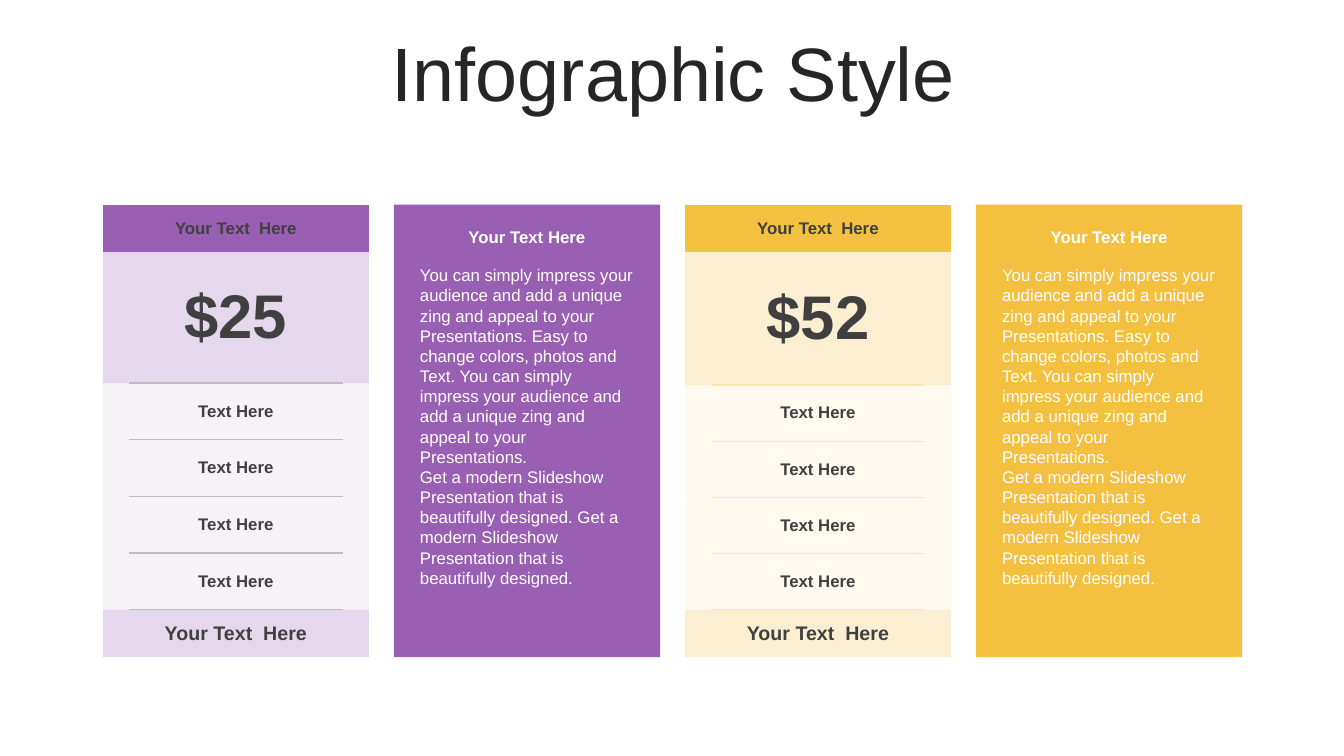
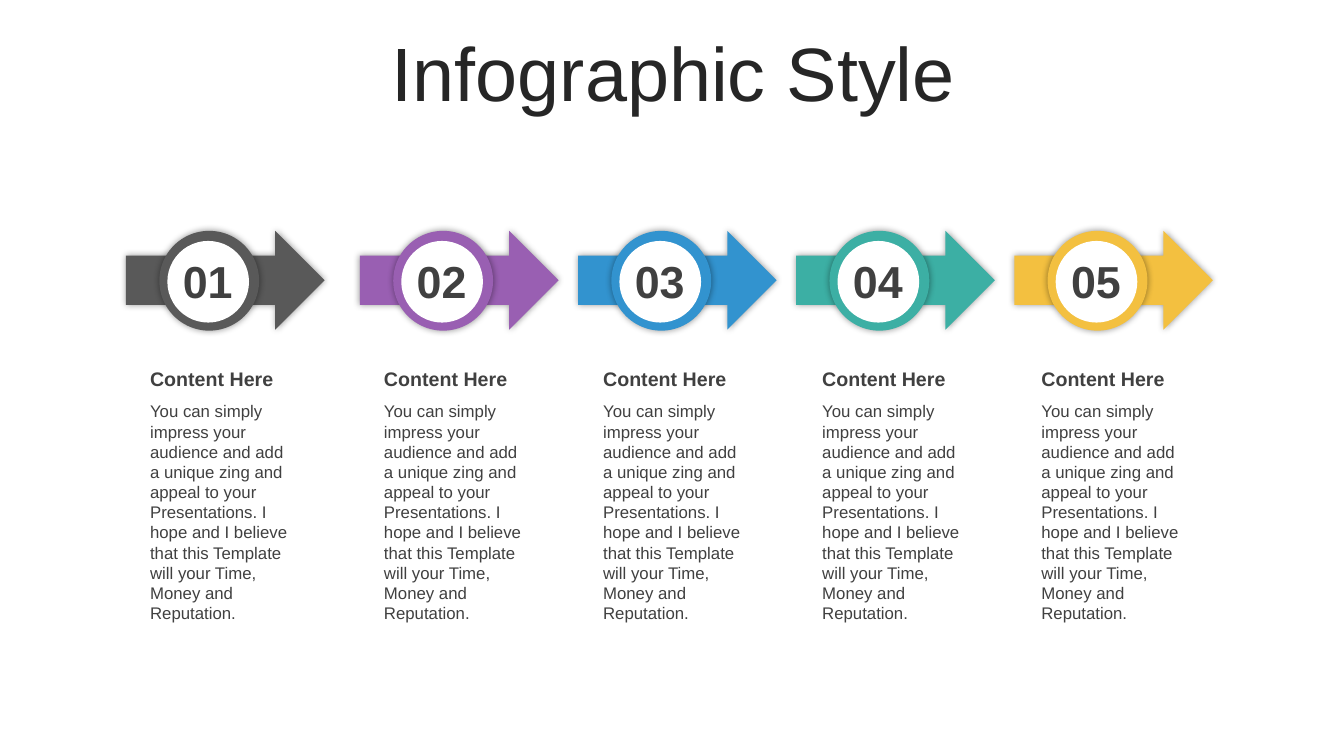
"""Build two infographic slides: a pricing comparison and a five-step arrow process."""
from dataclasses import dataclass

from lxml import etree
from pptx import Presentation
from pptx.dml.color import RGBColor
from pptx.enum.shapes import MSO_SHAPE
from pptx.enum.text import MSO_ANCHOR, PP_ALIGN
from pptx.oxml.ns import qn
from pptx.shapes.autoshape import Shape
from pptx.slide import Slide
from pptx.table import _Cell
from pptx.text.text import TextFrame
from pptx.util import Inches, Pt

RECTANGLE = MSO_SHAPE.RECTANGLE
RIGHT_ARROW = MSO_SHAPE.RIGHT_ARROW
OVAL = MSO_SHAPE.OVAL
LEFT = PP_ALIGN.LEFT
CENTER = PP_ALIGN.CENTER
TOP = MSO_ANCHOR.TOP
MIDDLE = MSO_ANCHOR.MIDDLE

FONT = "Arial"
WHITE = RGBColor(0xFF, 0xFF, 0xFF)
TITLE_COLOR = RGBColor(0x26, 0x26, 0x26)
TEXT_COLOR = RGBColor(0x40, 0x40, 0x40)
GRAY = RGBColor(0x59, 0x59, 0x59)
RULE_GRAY = RGBColor(0xBD, 0xBD, 0xBD)
PURPLE = RGBColor(0x99, 0x5F, 0xB2)
PURPLE_MEDIUM = RGBColor(0xC2, 0x9F, 0xD1)
PURPLE_LIGHT = RGBColor(0xD6, 0xBF, 0xE0)
BLUE = RGBColor(0x32, 0x93, 0xCF)
TEAL = RGBColor(0x3C, 0xAF, 0xA4)
YELLOW = RGBColor(0xF3, 0xC0, 0x40)
YELLOW_MEDIUM = RGBColor(0xF8, 0xD9, 0x8C)
YELLOW_LIGHT = RGBColor(0xFA, 0xE6, 0xB3)

NO_TABLE_STYLE = "{2D5ABB26-0587-4C30-8999-92F81FD0307C}"
MEDIUM_OPACITY = 40
LIGHT_OPACITY = 20

TITLE = "Infographic Style"
PANEL_TOP, PANEL_WIDTH, PANEL_HEIGHT = 2.03, 2.64, 4.49
BAND_HEIGHT = 0.47
DETAIL_COUNT = 4
PANEL_PARAGRAPHS = [
    "You can simply impress your audience and add a unique zing and appeal to your "
    "Presentations. Easy to change colors, photos and Text. You can simply impress your "
    "audience and add a unique zing and appeal to your Presentations.",
    "Get a modern Slideshow Presentation that is beautifully designed. "
    "Get a modern Slideshow Presentation that is beautifully designed.",
]

ARROW_TOP = 2.29
STEP_TEXT = (
    "You can simply impress your audience and add a unique zing and appeal to your "
    "Presentations. I hope and I believe that this Template will your Time, Money and "
    "Reputation."
)


@dataclass(frozen=True)
class TextStyle:
    size: float
    color: RGBColor = TEXT_COLOR
    bold: bool = False
    align: PP_ALIGN = LEFT
    anchor: MSO_ANCHOR = TOP
    line_spacing: float = 1.0


@dataclass(frozen=True)
class Plan:
    price: str
    strong: RGBColor
    medium: RGBColor
    light: RGBColor
    rule: RGBColor
    side_width: float
    price_height: float


@dataclass(frozen=True)
class Step:
    number: str
    color: RGBColor
    arrow_left: float
    text_left: float


TITLE_STYLE = TextStyle(54, TITLE_COLOR, align=CENTER, anchor=MIDDLE, line_spacing=0.9)
LABEL_STYLE = TextStyle(12, bold=True, align=CENTER, anchor=MIDDLE)
PRICE_STYLE = TextStyle(44, bold=True, align=CENTER, anchor=MIDDLE)
FOOTER_STYLE = TextStyle(14, bold=True, align=CENTER, anchor=MIDDLE)
PANEL_HEADING_STYLE = TextStyle(12, WHITE, bold=True, align=CENTER)
PANEL_TEXT_STYLE = TextStyle(12, WHITE)
STEP_HEADING_STYLE = TextStyle(14, bold=True)
STEP_TEXT_STYLE = TextStyle(12)
NUMBER_STYLE = TextStyle(32, bold=True, align=CENTER, anchor=MIDDLE)

PLANS = [
    Plan("$25", PURPLE, PURPLE_MEDIUM, PURPLE_LIGHT, RULE_GRAY, 0.26, 1.3),
    Plan("$52", YELLOW, YELLOW_MEDIUM, YELLOW_LIGHT, YELLOW_LIGHT, 0.27, 1.32),
]


def evenly_spaced(first: float, last: float, count: int) -> list[float]:
    """Return count positions at equal distances from first to last."""
    return [first + (last - first) * index / (count - 1) for index in range(count)]


def write_text(frame: TextFrame, texts: list[str], style: TextStyle) -> None:
    """Write one styled paragraph for each text."""
    for index, text in enumerate(texts):
        paragraph = frame.add_paragraph() if index else frame.paragraphs[0]
        paragraph.alignment = style.align
        paragraph.line_spacing = style.line_spacing
        run = paragraph.add_run()
        run.text = text
        run.font.name = FONT
        run.font.size = Pt(style.size)
        run.font.bold = style.bold
        run.font.color.rgb = style.color


def add_text(slide: Slide, left: float, top: float, width: float, height: float,
             texts: list[str], style: TextStyle) -> TextFrame:
    """Add a wrapping text box and return its frame."""
    box = slide.shapes.add_textbox(Inches(left), Inches(top), Inches(width), Inches(height))
    frame = box.text_frame
    frame.word_wrap = True
    frame.vertical_anchor = style.anchor
    write_text(frame, texts, style)
    return frame


def add_filled_shape(slide: Slide, kind: MSO_SHAPE, left: float, top: float,
                     width: float, height: float, color: RGBColor) -> Shape:
    """Add a preset shape with a plain fill, no outline and no shadow."""
    shape = slide.shapes.add_shape(
        kind, Inches(left), Inches(top), Inches(width), Inches(height))
    shape.fill.solid()
    shape.fill.fore_color.rgb = color
    shape.line.fill.background()
    shape.shadow.inherit = False
    return shape


def add_glow_shadow(shape: Shape) -> None:
    """Give a shape a soft black shadow on all sides."""
    effects = shape.element.spPr.find(qn("a:effectLst"))
    shadow = etree.SubElement(effects, qn("a:outerShdw"), blurRad=str(Pt(5)), dist="0",
                              dir="0", algn="ctr", rotWithShape="0")
    color = etree.SubElement(shadow, qn("a:srgbClr"), val="000000")
    etree.SubElement(color, qn("a:alpha"), val="40000")


def fill_cell(cell: _Cell, color: RGBColor, opacity: int = 100) -> None:
    """Fill a table cell, partly transparent below 100 percent opacity."""
    cell.fill.solid()
    cell.fill.fore_color.rgb = color
    if opacity < 100:
        color_element = next(cell._tc.tcPr.iter(qn("a:srgbClr")))
        etree.SubElement(color_element, qn("a:alpha"), val=str(opacity * 1000))


def add_cell_rules(cell: _Cell, color: RGBColor, sides: list[str]) -> None:
    """Draw one-point rules on the given sides of a filled cell."""
    for index, side in enumerate(sides):
        line = etree.Element(qn(f"a:ln{side}"), w=str(Pt(1)))
        fill = etree.SubElement(line, qn("a:solidFill"))
        etree.SubElement(fill, qn("a:srgbClr"), val=str(color))
        cell._tc.tcPr.insert(index, line)


def write_cell(cell: _Cell, text: str, style: TextStyle) -> None:
    """Write a centred label in a table cell."""
    cell.vertical_anchor = style.anchor
    write_text(cell.text_frame, [text], style)


def add_plan_table(slide: Slide, left: float, plan: Plan) -> None:
    """Add the price table of one plan."""
    detail_height = (PANEL_HEIGHT - 2 * BAND_HEIGHT - plan.price_height) / DETAIL_COUNT
    heights = [BAND_HEIGHT, plan.price_height, *[detail_height] * DETAIL_COUNT, BAND_HEIGHT]
    widths = [plan.side_width, PANEL_WIDTH - 2 * plan.side_width, plan.side_width]
    frame = slide.shapes.add_table(
        len(heights), len(widths), Inches(left), Inches(PANEL_TOP),
        Inches(PANEL_WIDTH), Inches(PANEL_HEIGHT))
    next(frame.element.iter(qn("a:tableStyleId"))).text = NO_TABLE_STYLE
    table = frame.table
    table.first_row = False
    table.horz_banding = False
    for row, height in zip(table.rows, heights):
        row.height = Inches(height)
    for column, width in zip(table.columns, widths):
        column.width = Inches(width)

    last_row = len(heights) - 1
    bands = [
        (0, "Your Text  Here", LABEL_STYLE, plan.strong, 100),
        (1, plan.price, PRICE_STYLE, plan.medium, MEDIUM_OPACITY),
        (last_row, "Your Text  Here", FOOTER_STYLE, plan.medium, MEDIUM_OPACITY),
    ]
    for row_index, text, style, color, opacity in bands:
        cell = table.cell(row_index, 0)
        cell.merge(table.cell(row_index, 2))
        fill_cell(cell, color, opacity)
        write_cell(cell, text, style)
    for row_index in range(2, last_row):
        for column_index in range(len(widths)):
            fill_cell(table.cell(row_index, column_index), plan.light, LIGHT_OPACITY)
        label_cell = table.cell(row_index, 1)
        write_cell(label_cell, "Text Here", LABEL_STYLE)
        add_cell_rules(label_cell, plan.rule, ["T", "B"] if row_index < last_row - 1 else ["T"])


def add_plan_panel(slide: Slide, left: float, color: RGBColor) -> None:
    """Add the coloured description panel of one plan."""
    add_filled_shape(slide, RECTANGLE, left, PANEL_TOP, PANEL_WIDTH, PANEL_HEIGHT, color)
    text_left, text_width = left + 0.16, PANEL_WIDTH - 0.32
    add_text(slide, text_left, 2.2, text_width, 0.3, ["Your Text Here"], PANEL_HEADING_STYLE)
    add_text(slide, text_left, 2.58, text_width, 3.13, PANEL_PARAGRAPHS, PANEL_TEXT_STYLE)


def add_step(slide: Slide, step: Step) -> None:
    """Add a numbered arrow with its heading and description."""
    left = step.arrow_left
    arrow = add_filled_shape(slide, RIGHT_ARROW, left, ARROW_TOP, 1.97, 0.98, step.color)
    ring = add_filled_shape(slide, OVAL, left + 0.33, ARROW_TOP, 0.99, 0.99, step.color)
    for shape in (arrow, ring):
        add_glow_shadow(shape)
    add_filled_shape(slide, OVAL, left + 0.41, ARROW_TOP + 0.1, 0.81, 0.81, WHITE)
    frame = add_text(slide, left + 0.5, ARROW_TOP + 0.26, 0.62, 0.46,
                     [step.number], NUMBER_STYLE)
    frame.margin_left = frame.margin_right = frame.margin_top = frame.margin_bottom = 0
    add_text(slide, step.text_left, 3.59, 1.58, 0.34, ["Content Here"], STEP_HEADING_STYLE)
    add_text(slide, step.text_left, 3.93, 1.58, 2.32, [STEP_TEXT], STEP_TEXT_STYLE)


def add_titled_slide(presentation: Presentation) -> Slide:
    """Add a blank slide with the shared title."""
    slide = presentation.slides.add_slide(presentation.slide_layouts[6])
    add_text(slide, 0.35, 0.37, 12.66, 0.79, [TITLE], TITLE_STYLE)
    return slide


def add_pricing_slide(presentation: Presentation) -> None:
    """Add the slide that compares the plans."""
    slide = add_titled_slide(presentation)
    lefts = evenly_spaced(1.02, 9.68, 2 * len(PLANS))
    for plan, table_left, panel_left in zip(PLANS, lefts[::2], lefts[1::2]):
        add_plan_table(slide, table_left, plan)
        add_plan_panel(slide, panel_left, plan.strong)


def add_process_slide(presentation: Presentation) -> None:
    """Add the slide with the five numbered arrows."""
    slide = add_titled_slide(presentation)
    colors = [GRAY, PURPLE, BLUE, TEAL, YELLOW]
    arrow_lefts = [1.25, *evenly_spaced(3.57, 10.06, 4)]
    text_lefts = [1.39, *evenly_spaced(3.71, 10.23, 4)]
    for number, (color, arrow_left, text_left) in enumerate(
            zip(colors, arrow_lefts, text_lefts), start=1):
        add_step(slide, Step(f"{number:02}", color, arrow_left, text_left))


def main() -> None:
    """Build and save the presentation."""
    presentation = Presentation()
    presentation.slide_width = Inches(13.33)
    presentation.slide_height = Inches(7.5)
    add_pricing_slide(presentation)
    add_process_slide(presentation)
    presentation.save("out.pptx")


if __name__ == "__main__":
    main()
